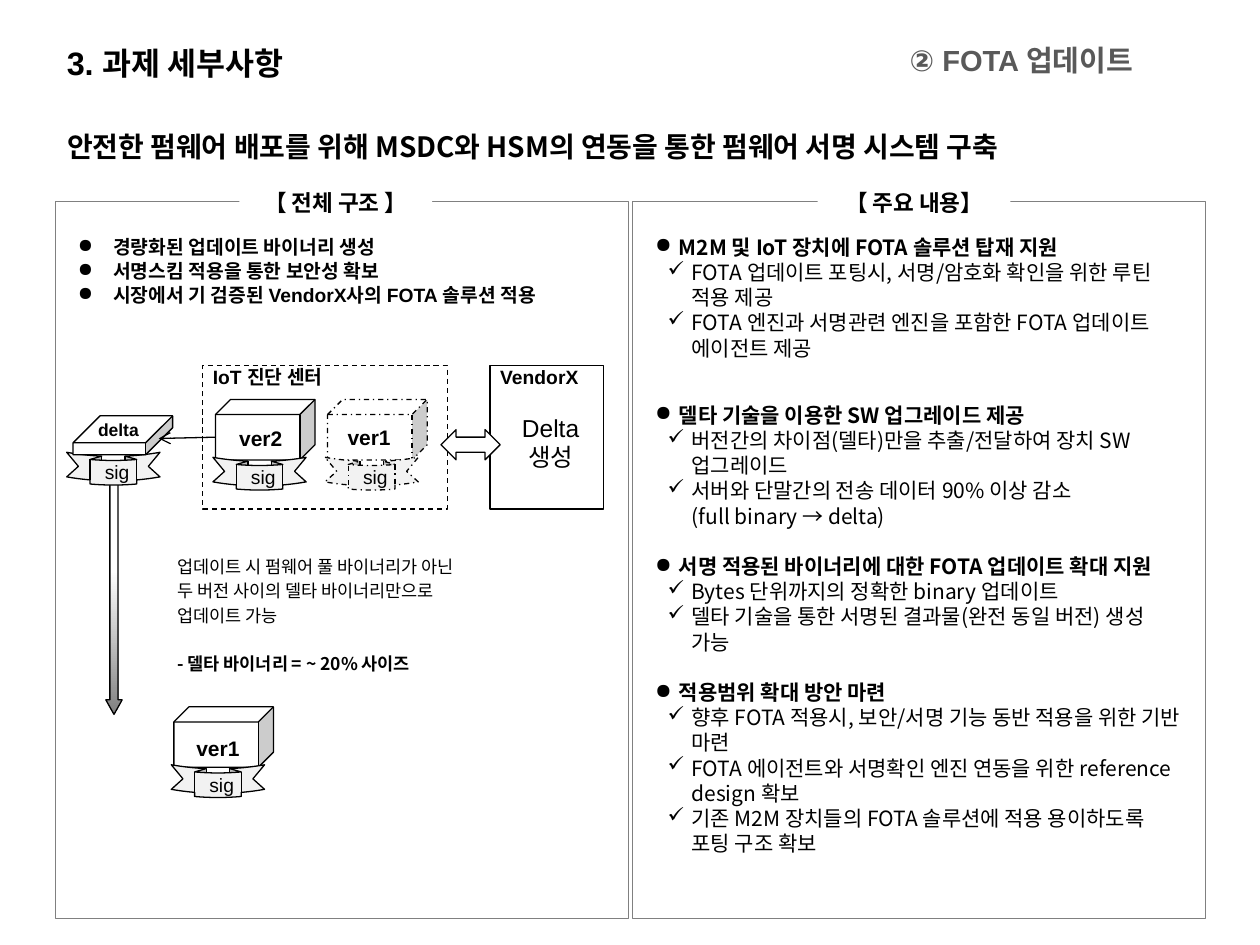
from lxml import etree
from pptx import Presentation
from pptx.dml.color import RGBColor
from pptx.enum import dml, shapes, text
from pptx.oxml import ns
from pptx.util import Inches, Pt

BLACK = RGBColor(0x00, 0x00, 0x00)
WHITE = RGBColor(0xFF, 0xFF, 0xFF)
GRAY = RGBColor(0x80, 0x80, 0x80)
DARK_GRAY = RGBColor(0x59, 0x59, 0x59)
PALE_GRAY = RGBColor(0xF2, 0xF2, 0xF2)

LATIN, KOREAN = "Arial", "Noto Sans CJK KR"
SHAPE = shapes.MSO_SHAPE
ALIGN = text.PP_ALIGN
MIDDLE = text.MSO_ANCHOR.MIDDLE
DASH = dml.MSO_LINE
LABEL_INSETS = (0.08, 0, 0.02, 0)
PANEL_TITLE_INSETS = (0.09, 0.05, 0.09, 0.05)

BENEFITS = [
    "경량화된 업데이트 바이너리 생성",
    "서명스킴 적용을 통한 보안성 확보",
    "시장에서 기 검증된 VendorX사의 FOTA 솔루션 적용",
]
DELTA_NOTES = [
    "업데이트 시 펌웨어 풀 바이너리가 아닌",
    "두 버전 사이의 델타 바이너리만으로",
    "업데이트 가능",
    "- 델타 바이너리 = ~ 20% 사이즈",
]
# heading, space before it in points, details
TOPICS = [
    ("M2M 및 IoT 장치에 FOTA 솔루션 탑재 지원", 0, [
        "FOTA 업데이트 포팅시, 서명/암호화 확인을 위한 루틴 적용 제공",
        "FOTA 엔진과 서명관련 엔진을 포함한 FOTA 업데이트 에이전트 제공"]),
    ("델타 기술을 이용한 SW 업그레이드 제공", 24, [
        "버전간의 차이점(델타)만을 추출/전달하여 장치 SW 업그레이드",
        "서버와 단말간의 전송 데이터 90% 이상 감소\n(full binary → delta)"]),
    ("서명 적용된 바이너리에 대한 FOTA 업데이트 확대 지원", 14.4, [
        "Bytes 단위까지의 정확한 binary 업데이트",
        "델타 기술을 통한 서명된 결과물(완전 동일 버전) 생성 가능"]),
    ("적용범위 확대 방안 마련", 14.4, [
        "향후 FOTA 적용시, 보안/서명 기능 동반 적용을 위한 기반 마련",
        "FOTA 에이전트와 서명확인 엔진 연동을 위한 reference design 확보",
        "기존 M2M 장치들의 FOTA 솔루션에 적용 용이하도록 포팅 구조 확보"]),
]


def set_frame(box, insets, anchor=text.MSO_ANCHOR.TOP, wrap=True):
    frame = box.text_frame
    frame.word_wrap = wrap
    frame.vertical_anchor = anchor
    frame.margin_left, frame.margin_top, frame.margin_right, frame.margin_bottom = map(Inches, insets)
    return frame


def add_box(page, left, top, width, height, insets=(0.1, 0.05, 0.1, 0.05), wrap=True):
    """Add a text box and return its text frame."""
    box = page.shapes.add_textbox(*map(Inches, (left, top, width, height)))
    return set_frame(box, insets, wrap=wrap)


def write(frame, content, size, font=LATIN, bold=False, color=BLACK, align=ALIGN.LEFT,
          before=0, spacing=None, bullet=None, margin=0, hang=0):
    """Fill the first paragraph if it is empty, otherwise append one."""
    para = frame.paragraphs[-1]
    if para.text:
        para = frame.add_paragraph()
    para.text = content
    para.alignment = align
    if bullet:
        properties = para._p.get_or_add_pPr()
        properties.set("marL", str(Inches(margin)))
        properties.set("indent", str(-Inches(hang)))
        etree.SubElement(properties, ns.qn("a:buChar")).set("char", bullet)
    if before:
        para.space_before = Pt(before)
    if spacing:
        para.line_spacing = spacing
    para.font.size = Pt(size)
    para.font.name = font
    para.font.bold = bold
    para.font.color.rgb = color
    return para


def add_figure(page, kind, left, top, width, height, fill=None, line=BLACK,
               dash=None, adjustments=()):
    figure = page.shapes.add_shape(kind, *map(Inches, (left, top, width, height)))
    figure.shadow.inherit = False
    for index, value in enumerate(adjustments):
        figure.adjustments[index] = value
    if fill is None:
        figure.fill.background()
    else:
        figure.fill.solid()
        figure.fill.fore_color.rgb = fill
    if line is None:
        figure.line.fill.background()
    else:
        figure.line.color.rgb = line
        figure.line.width = Pt(0.75)
        if dash:
            figure.line.dash_style = dash
    return figure


def add_panel(page, left, title_left, title):
    add_figure(page, SHAPE.RECTANGLE, left, 1.6, 4.55, 5.69, line=GRAY)
    tab = add_figure(page, SHAPE.RECTANGLE, title_left, 1.45, 1.53, 0.31, WHITE, None)
    write(set_frame(tab, PANEL_TITLE_INSETS, MIDDLE), title, 12.9, KOREAN, True,
          align=ALIGN.CENTER)


def add_signature(page, left, top, dash=None):
    ribbon = add_figure(page, SHAPE.CURVED_DOWN_RIBBON, left, top, 0.74, 0.26,
                        PALE_GRAY, dash=dash)
    write(set_frame(ribbon, LABEL_INSETS, MIDDLE), "sig", 11, align=ALIGN.CENTER)


def add_signed_version(page, left, top, label, label_left, label_top, dash=None):
    add_figure(page, SHAPE.CUBE, left, top, 0.79, 0.48, WHITE, dash=dash)
    add_signature(page, left - 0.02, top + 0.46, dash)
    write(add_box(page, label_left, label_top, 0.55, 0.3, wrap=False), label, 12, bold=True)


def add_signed_delta(page):
    add_signature(page, 0.53, 3.59)
    add_figure(page, SHAPE.CUBE, 0.58, 3.3, 0.79, 0.31, WHITE, adjustments=[0.693])
    write(add_box(page, 0.68, 3.28, 0.54, 0.27, wrap=False), "delta", 10, bold=True)


def add_delivery_arrow(page):
    arrow = add_figure(page, SHAPE.DOWN_ARROW, 0.84, 3.8, 0.13, 1.87,
                       adjustments=[0.5, 0.889])
    arrow.fill.gradient()
    arrow.fill.gradient_angle = 270
    for stop, position, color in zip(arrow.fill.gradient_stops, (0.39, 1), (WHITE, GRAY)):
        stop.position = position
        stop.color.rgb = color


def add_thin_arrow(page, start, end):
    arrow = page.shapes.add_connector(shapes.MSO_CONNECTOR.STRAIGHT, *map(Inches, start + end))
    arrow.line.color.rgb = BLACK
    arrow.line.width = Pt(0.75)
    etree.SubElement(arrow.line._get_or_add_ln(), ns.qn("a:tailEnd")).set("type", "arrow")
    etree.SubElement(arrow._element.spPr, ns.qn("a:effectLst"))


def add_headings(page):
    section = write(add_box(page, 0.44, 0.3, 3.47, 0.34, (0.09, 0.04, 0.09, 0.04)),
                    "3. ", 18, bold=True)
    section.runs[0].font.size = Pt(18.5)
    section.add_run().text = "과제 세부사항"
    write(add_box(page, 6.68, 0.29, 2.85, 0.34), "② FOTA 업데이트", 16.6, bold=True,
          color=DARK_GRAY, align=ALIGN.CENTER)
    banner = add_figure(page, SHAPE.ROUNDED_RECTANGLE, 0.42, 0.73, 9.16, 0.8,
                        line=None, adjustments=[0.104])
    message = write(set_frame(banner, (0.09, 0.04, 0.09, 0.04), MIDDLE),
                    "안전한 펌웨어 배포를 위해 MSDC와 HSM의 연동을 통한 펌웨어 서명 시스템 구축",
                    16, KOREAN, True, spacing=1.25)
    message.space_after = Pt(1.9)


def add_diagram(page):
    add_delivery_arrow(page)
    add_signed_version(page, 1.71, 3.17, "ver2", 1.8, 3.33)
    add_signed_version(page, 2.6, 3.17, "ver1", 2.66, 3.32, DASH.DASH_DOT)
    add_signed_delta(page)
    add_signed_version(page, 1.38, 5.61, "ver1", 1.46, 5.79)
    add_thin_arrow(page, (1.71, 3.47), (1.26, 3.48))
    center = add_figure(page, SHAPE.RECTANGLE, 1.61, 2.9, 1.94, 1.14, dash=DASH.DASH)
    write(set_frame(center, LABEL_INSETS), "IoT 진단 센터", 11, bold=True)
    vendor = set_frame(add_figure(page, SHAPE.RECTANGLE, 3.89, 2.9, 0.9, 1.14), LABEL_INSETS)
    write(vendor, "VendorX", 11, bold=True)
    write(vendor, "Delta", 14, align=ALIGN.CENTER, before=14)
    write(vendor, "생성", 14, align=ALIGN.CENTER)
    add_figure(page, SHAPE.LEFT_RIGHT_ARROW, 3.5, 3.41, 0.47, 0.24, WHITE)


def add_texts(page):
    notes = add_box(page, 1.31, 4.36, 2.62, 1.08, wrap=False)
    for note, before in zip(DELTA_NOTES, (0, 2, 2, 16)):
        write(notes, note, 10, KOREAN, note.startswith("-"), before=before, spacing=Pt(12))
    topics = add_box(page, 5.1, 1.81, 4.39, 5.49)
    for heading, before, details in TOPICS:
        write(topics, heading, 12, KOREAN, True, before=before, spacing=Pt(14.4),
              bullet="●", margin=0.19, hang=0.19)
        for detail in details:
            write(topics, detail, 12, KOREAN, spacing=Pt(14.4),
                  bullet="✓", margin=0.29, hang=0.19)
    benefits = add_box(page, 0.52, 1.81, 4.46, 0.89)
    for benefit in BENEFITS:
        write(benefits, benefit, 11, bold=True, spacing=Pt(13.8),
              bullet="●", margin=0.28, hang=0.28)


def main():
    deck = Presentation()
    deck.slide_width, deck.slide_height = Inches(10), Inches(7.5)
    page = deck.slides.add_slide(deck.slide_layouts[6])
    add_headings(page)
    add_panel(page, 0.44, 1.9, "【 전체 구조 】")
    add_panel(page, 5.02, 6.49, "【 주요 내용】")
    add_diagram(page)
    add_texts(page)
    deck.save("out.pptx")


if __name__ == "__main__":
    main()
